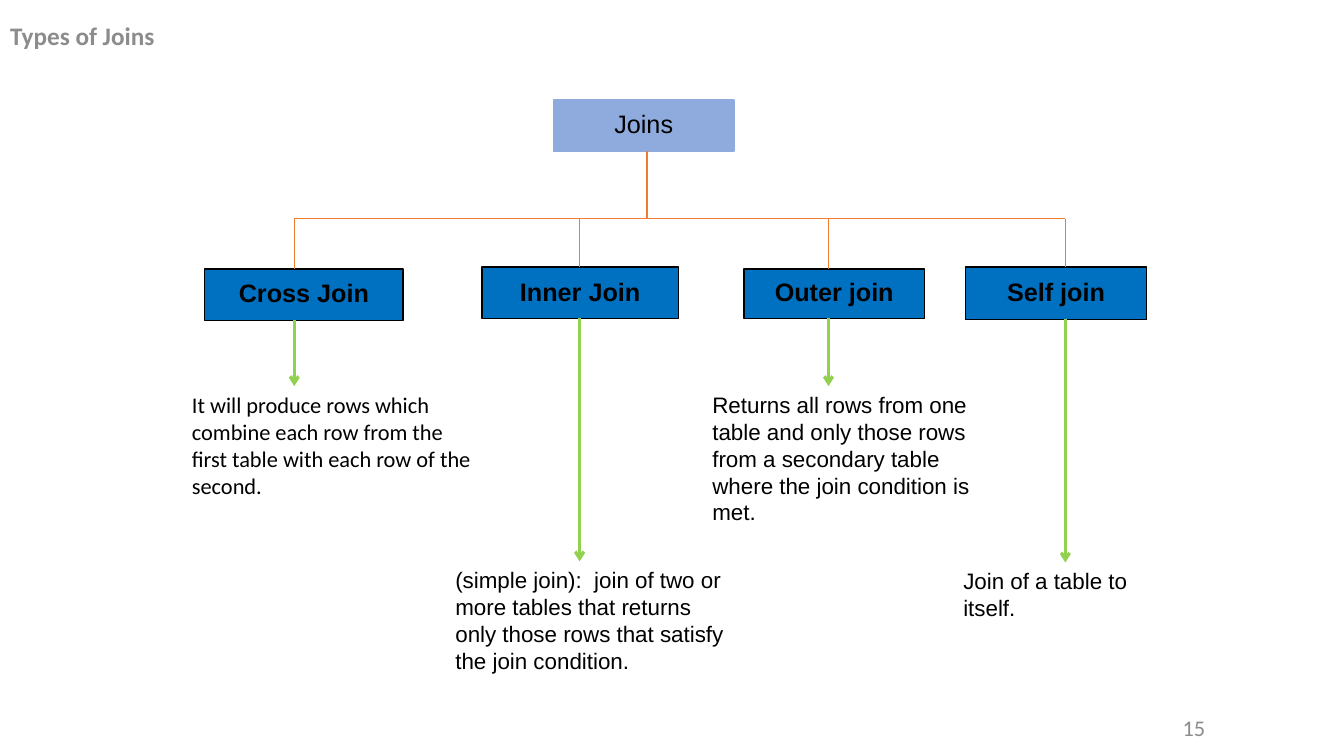
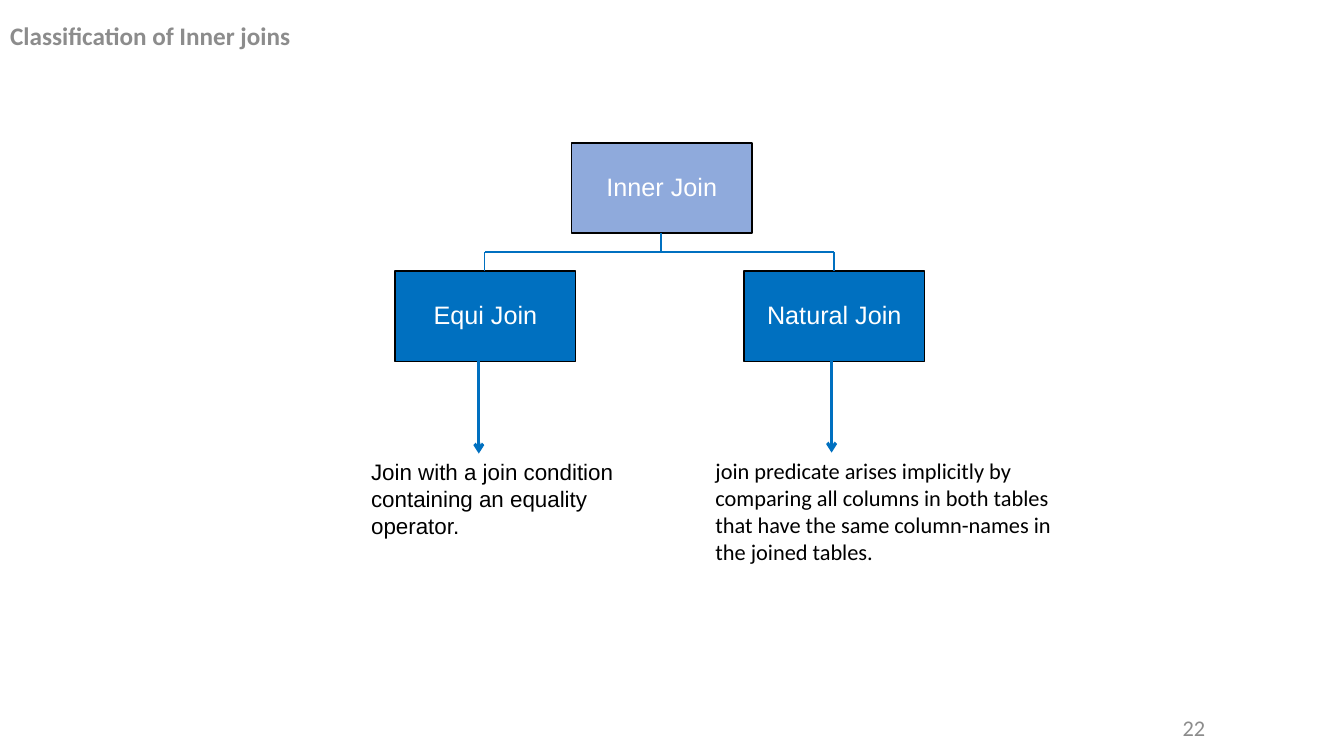
from dataclasses import dataclass

from lxml import etree
from pptx import Presentation
from pptx.dml.color import RGBColor
from pptx.enum import shapes, text
from pptx.oxml.ns import qn
from pptx.util import Pt

BLUE = RGBColor(0x00, 0x70, 0xC0)
PALE_BLUE = RGBColor(0x8F, 0xAA, 0xDC)
ORANGE = RGBColor(0xED, 0x7D, 0x31)
GREEN = RGBColor(0x92, 0xD0, 0x50)
GREY = RGBColor(0x8C, 0x8C, 0x8C)
BLACK = RGBColor(0, 0, 0)
WHITE = RGBColor(0xFF, 0xFF, 0xFF)

TITLE_BOX = (0, 6, 540, 42)
NUMBER_BOX = (810, 511, 58, 18)


@dataclass
class Branch:
    """A child box, the x of its stem and arrow, and the note below it."""
    label: str
    box: tuple
    stem_x: float
    arrow_x: float
    note: str
    note_box: tuple
    note_font: str = "Arial"


@dataclass
class Style:
    root_line: RGBColor
    root_color: RGBColor
    child_color: RGBColor
    child_bold: bool
    stem: RGBColor
    arrow: RGBColor


def pts(*values):
    return [Pt(v) for v in values]


def write(sp, content, size, color, font="Arial", bold=False,
          align=text.PP_ALIGN.LEFT, anchor=text.MSO_ANCHOR.MIDDLE, spacing=None):
    tf = sp.text_frame
    tf.word_wrap = True
    tf.vertical_anchor = anchor
    tf.text = content
    p = tf.paragraphs[0]
    p.alignment = align
    p.line_spacing = spacing
    f = p.runs[0].font
    f.name, f.size, f.bold = font, Pt(size), bold
    f.color.rgb = color


def add_rect(s, box, line, width, fill=None):
    sp = s.shapes.add_shape(shapes.MSO_SHAPE.RECTANGLE, *pts(*box))
    sp.shadow.inherit = False
    if fill is None:
        sp.fill.background()
    else:
        sp.fill.solid()
        sp.fill.fore_color.rgb = fill
    sp.line.color.rgb = line
    sp.line.width = Pt(width)
    return sp


def add_node(s, box, label, fill, line, color, bold=False):
    sp = add_rect(s, box, line, 1, fill)
    tf = sp.text_frame
    tf.margin_left = tf.margin_right = tf.margin_top = tf.margin_bottom = Pt(1)
    write(sp, label, 18, color, bold=bold, align=text.PP_ALIGN.CENTER, spacing=0.9)


def add_line(s, x1, y1, x2, y2, color, width=1, arrow=False):
    c = s.shapes.add_connector(shapes.MSO_CONNECTOR.STRAIGHT, *pts(x1, y1, x2, y2))
    c.line.color.rgb = color
    c.line.width = Pt(width)
    if arrow:
        etree.SubElement(c.line._get_or_add_ln(), qn("a:tailEnd"), type="arrow")
    etree.SubElement(c._element.spPr, qn("a:effectLst"))


def add_tree(s, origin, label, root_box, trunk_x, bus_y, branches, style):
    """Draw a root, its bus and its branches, all measured from origin."""
    left, top = origin

    def place(x, y, w, h):
        return left + x, top + y, w, h

    def line(x1, y1, x2, y2, *args):
        add_line(s, left + x1, top + y1, left + x2, top + y2, *args)

    add_node(s, place(*root_box), label, PALE_BLUE, style.root_line, style.root_color)
    line(trunk_x, root_box[1] + root_box[3], trunk_x, bus_y, style.stem)
    line(branches[0].stem_x, bus_y, branches[-1].stem_x, bus_y, style.stem)
    for b in branches:
        box_top = b.box[1]
        add_node(s, place(*b.box), b.label, BLUE, BLACK,
                 style.child_color, style.child_bold)
        line(b.stem_x, bus_y, b.stem_x, box_top, style.stem)
        note = add_rect(s, place(*b.note_box), WHITE, 0.5)
        write(note, b.note, 16, BLACK, b.note_font, anchor=text.MSO_ANCHOR.TOP)
        line(b.arrow_x, box_top + b.box[3], b.arrow_x, b.note_box[1],
             style.arrow, 2.25, True)


def add_slide(prs, layout, title, number):
    s = prs.slides.add_slide(layout)
    write(s.shapes.title, title, 18, GREY, "Calibri", True, spacing=0.9)
    sp = s.shapes.add_textbox(*pts(*NUMBER_BOX))
    write(sp, number, 16, GREY, "Calibri", align=text.PP_ALIGN.RIGHT)
    return s


def join_types(prs, layout):
    s = add_slide(prs, layout, "Types of Joins", "15")
    branches = [
        Branch("Cross Join", (16.2, 121.2, 141.8, 36.7), 80.2, 80.2,
               "It will produce rows which combine each row from the first table "
               "with each row of the second.", (0, 204.8, 215.3, 85), "Calibri"),
        Branch("Inner Join", (214.2, 119.8, 140.4, 36.7), 284, 284,
               "(simple join):  join of two or more tables that returns only those "
               "rows that satisfy the join condition.", (188.2, 330, 216, 85)),
        Branch("Outer join", (401.4, 121.2, 129, 35.3), 461.8, 461.8,
               "Returns all rows from one table and only those rows from a secondary "
               "table where the join condition is met.", (371.8, 204.8, 216, 104.4)),
        Branch("Self join", (559.8, 119.8, 129, 37.4), 631, 631,
               "Join of a table to itself.", (551, 330.8, 150, 46)),
    ]
    style = Style(PALE_BLUE, BLACK, BLACK, True, ORANGE, GREEN)
    add_tree(s, (130, 71), "Joins", (265.3, 0.3, 129, 36.7), 332.2, 85.2,
             branches, style)


def inner_joins(prs, layout):
    s = add_slide(prs, layout, "Classification of Inner joins", "22")
    branches = [
        Branch("Equi Join", (24.2, 91.7, 129, 64.4), 88.3, 84,
               "Join with a join condition containing an equality operator.",
               (0, 222, 192.2, 65.5)),
        Branch("Natural Join", (273.4, 91.7, 129, 64.4), 337.8, 336,
               "join predicate arises implicitly by comparing all columns in both "
               "tables that have the same column-names in the joined tables.",
               (246, 221.3, 258, 85), "Calibri"),
    ]
    style = Style(BLACK, WHITE, WHITE, False, BLUE, BLUE)
    add_tree(s, (258, 102), "Inner Join", (150.2, 0.2, 129, 64.4), 214.3, 78,
             branches, style)


def main():
    prs = Presentation()
    prs.slide_width, prs.slide_height = pts(960, 540)
    layout = prs.slide_layouts.get_by_name("Title Only")
    title = layout.placeholders[0]
    title.left, title.top, title.width, title.height = pts(*TITLE_BOX)
    join_types(prs, layout)
    inner_joins(prs, layout)
    prs.save("out.pptx")


if __name__ == "__main__":
    main()
